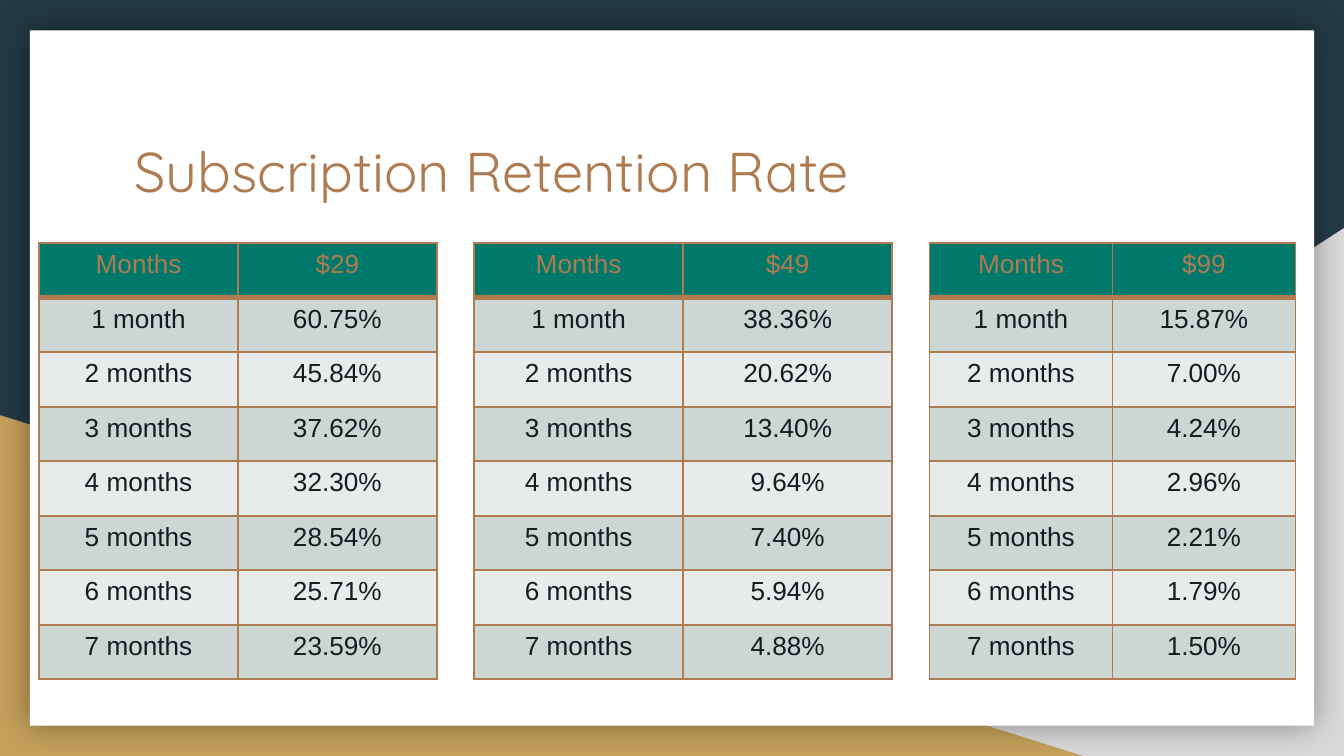
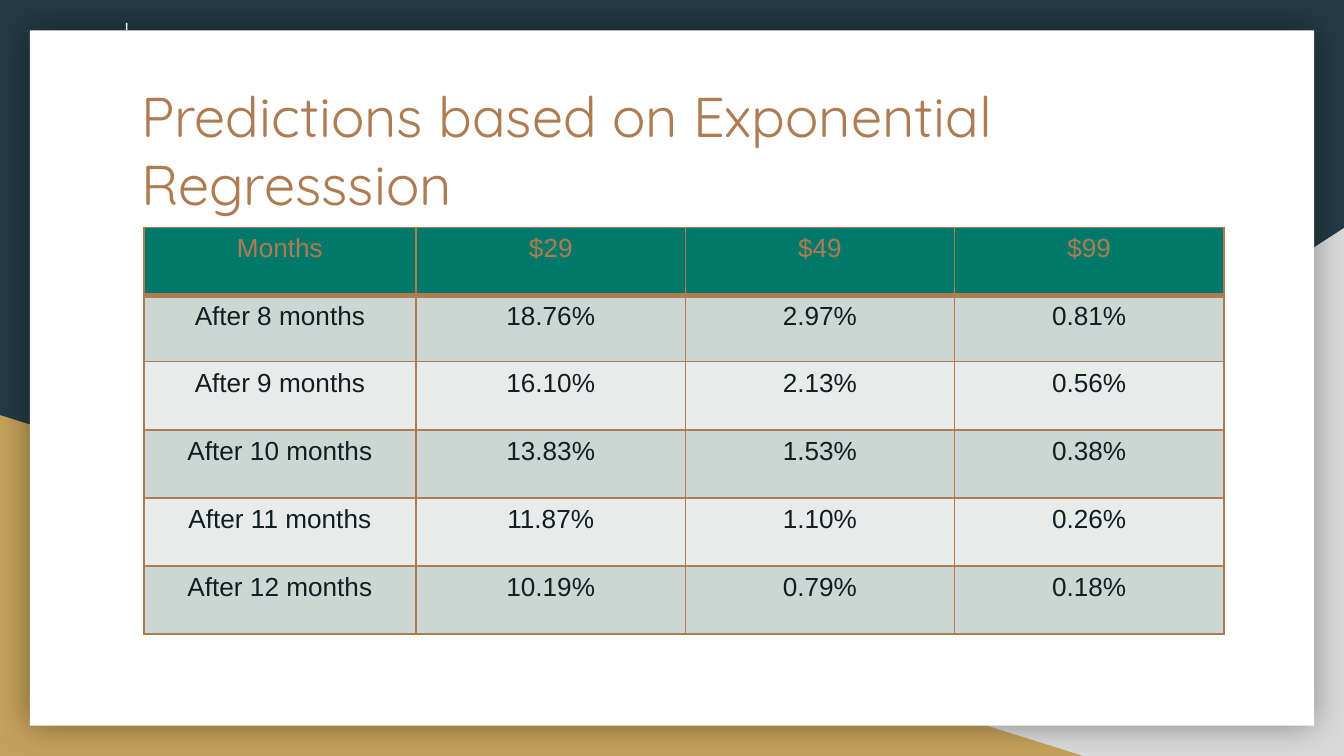
from dataclasses import dataclass

from lxml import etree
from pptx import Presentation
from pptx.dml.color import RGBColor
from pptx.enum import shapes, text
from pptx.oxml import ns
from pptx.util import Pt


@dataclass(frozen=True)
class Theme:
    navy: str = "233A44"
    grey: str = "D9D9D9"
    gold: str = "C4A15A"
    white: str = "FFFFFF"
    black: str = "000000"
    bronze: str = "AF7B51"
    teal: str = "00796B"
    ink: str = "121D22"
    bands: tuple = ("CCD7D4", "E7ECEB")
    head_font: str = "Quicksand"
    body_font: str = "Arial"
    head_size: int = 30
    body_size: int = 14
    line: int = 1
    rule: int = 3


THEME = Theme()

RATES = {
    "$29": ["60.75%", "45.84%", "37.62%", "32.30%", "28.54%", "25.71%", "23.59%"],
    "$49": ["38.36%", "20.62%", "13.40%", "9.64%", "7.40%", "5.94%", "4.88%"],
    "$99": ["15.87%", "7.00%", "4.24%", "2.96%", "2.21%", "1.79%", "1.50%"],
}
PLACES = [(21, 213), (254, 224), (498, 196)]
FORECAST = [
    ["Months", "$29", "$49", "$99"],
    ["After 8 months", "18.76%", "2.97%", "0.81%"],
    ["After 9 months", "16.10%", "2.13%", "0.56%"],
    ["After 10 months", "13.83%", "1.53%", "0.38%"],
    ["After 11 months", "11.87%", "1.10%", "0.26%"],
    ["After 12 months", "10.19%", "0.79%", "0.18%"],
]


def assign(target, values):
    for name, value in values.items():
        setattr(target, name, value)


def paint(fill, color):
    fill.solid()
    fill.fore_color.rgb = RGBColor.from_string(color)


def style(font, name, size, color):
    assign(font, {"name": name, "size": Pt(size)})
    font.color.rgb = RGBColor.from_string(color)


def add(parent, tag, **values):
    return etree.SubElement(parent, ns.qn(tag), values)


def block(slide, kind, box, color):
    shape = slide.shapes.add_shape(kind, *map(Pt, box))
    paint(shape.fill, color)
    shape.line.fill.background()
    shape.shadow.inherit = False
    return shape


def soften(shape):
    effects = shape.element.spPr.find(ns.qn("a:effectLst"))
    shadow = add(effects, "a:outerShdw", blurRad=str(Pt(18)), dist="0", dir="0",
                 algn="ctr", rotWithShape="0")
    color = add(shadow, "a:srgbClr", val=THEME.black)
    add(color, "a:alpha", val="40000")


def dress(layout, slide):
    paint(layout.background.fill, THEME.navy)
    kinds = shapes.MSO_SHAPE
    right = block(slide, kinds.RIGHT_TRIANGLE, (282, 122.2, 438, 282.8), THEME.grey)
    right.element.spPr.xfrm.set("flipH", "1")
    left = block(slide, kinds.RIGHT_TRIANGLE, (0, 222.4, 580.2, 182.6), THEME.gold)
    card = block(slide, kinds.RECTANGLE, (16, 16.2, 688, 372.6), THEME.white)
    soften(card)
    for place, shape in enumerate((right, left, card)):
        shape.element.nvSpPr.cNvPr.set("id", str(100 + place))
        layout.shapes.element.insert(2 + place, shape.element)


def head(slide, words, left, top):
    title = slide.shapes.title
    box = {"left": left, "top": top, "width": 591, "height": 75}
    assign(title, {name: Pt(value) for name, value in box.items()})
    frame = title.text_frame
    frame.text = words
    edges = ("left", "top", "right", "bottom")
    assign(frame, {f"margin_{edge}": Pt(7.2) for edge in edges})
    assign(frame, {"word_wrap": True, "auto_size": text.MSO_AUTO_SIZE.NONE,
                   "vertical_anchor": text.MSO_ANCHOR.TOP})
    line = frame.paragraphs[0]
    line.alignment = text.PP_ALIGN.LEFT
    style(line.runs[0].font, THEME.head_font, THEME.head_size, THEME.bronze)


def border(cell, base):
    props = cell._tc.get_or_add_tcPr()
    for side, width in zip("LRTB", (THEME.line, THEME.line, THEME.line, base)):
        line = add(props, f"a:ln{side}", w=str(Pt(width)))
        add(add(line, "a:solidFill"), "a:srgbClr", val=THEME.bronze)


def grid(slide, left, top, widths, heights, rows):
    frame = slide.shapes.add_table(len(rows), len(widths), Pt(left), Pt(top),
                                   Pt(sum(widths)), Pt(sum(heights)))
    table = frame.table
    assign(table, {"first_row": False, "horz_banding": False})
    for column, width in zip(table.columns, widths):
        column.width = Pt(width)
    for y, (height, row) in enumerate(zip(heights, rows)):
        table.rows[y].height = Pt(height)
        for x, words in enumerate(row):
            cell = table.cell(y, x)
            border(cell, THEME.line if y else THEME.rule)
            paint(cell.fill, THEME.bands[(y - 1) % 2] if y else THEME.teal)
            cell.text = words
            line = cell.text_frame.paragraphs[0]
            line.alignment = text.PP_ALIGN.CENTER
            style(line.runs[0].font, THEME.body_font, THEME.body_size,
                  THEME.ink if y else THEME.bronze)


def retain(slide):
    head(slide, "Subscription Retention Rate", 64.8, 66.2)
    for (price, rates), (left, width) in zip(RATES.items(), PLACES):
        rows = [["Months", price]]
        for month, rate in enumerate(rates, 1):
            rows.append([f"{month} month{'s' if month > 1 else ''}", rate])
        grid(slide, left, 130.3, [width / 2] * 2, [29.2] * len(rows), rows)


def predict(slide):
    head(slide, "Predictions based on Exponential Regresssion", 68.4, 36.7)
    heights = [36.5, 35.5] + [36.5] * 4
    grid(slide, 77, 121.8, [146] + [144.2] * 3, heights, FORECAST)
    block(slide, shapes.MSO_SHAPE.RECTANGLE, (67.4, 12.3, 0.9, 3.7), THEME.white)


def main():
    deck = Presentation()
    assign(deck, {"slide_width": Pt(720), "slide_height": Pt(405)})
    layout = deck.slide_layouts.get_by_name("Title Only")
    first, second = (deck.slides.add_slide(layout) for _ in range(2))
    dress(layout, first)
    retain(first)
    predict(second)
    deck.save("out.pptx")


if __name__ == "__main__":
    main()
